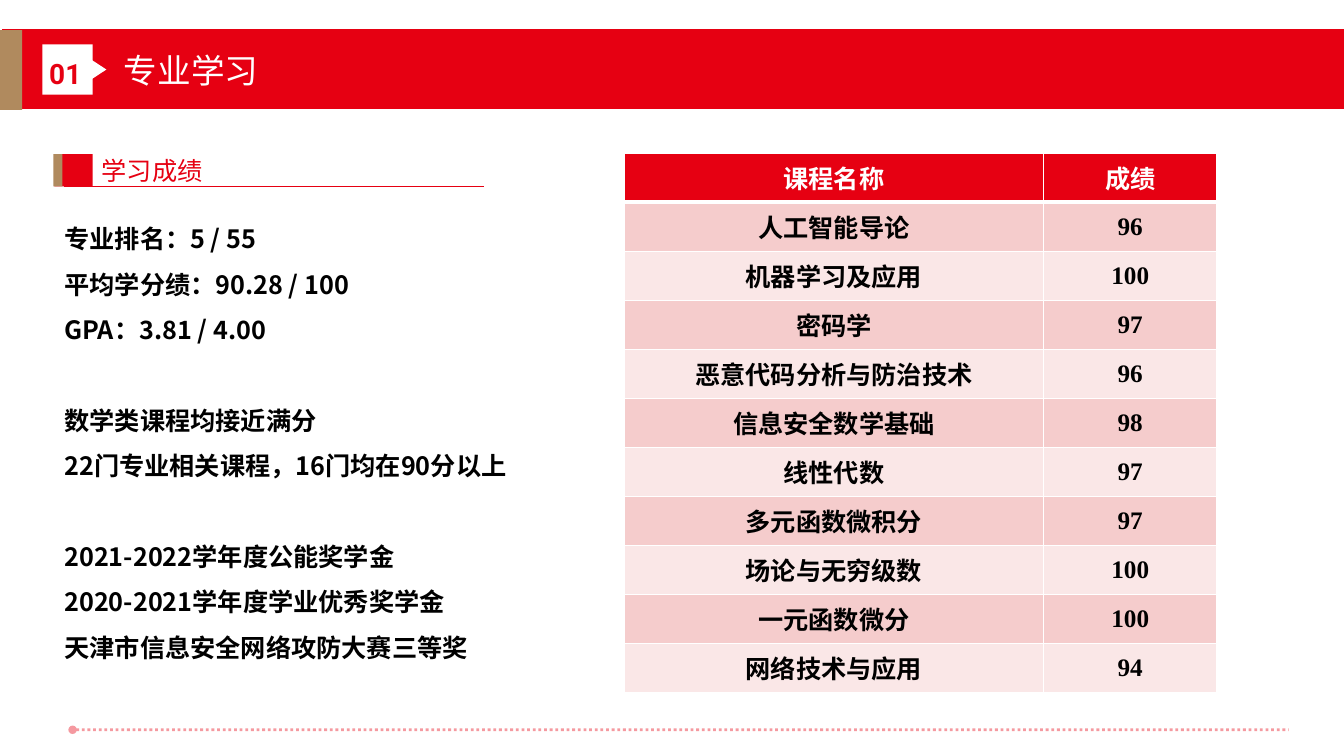
from dataclasses import dataclass

from lxml.etree import SubElement
from pptx import Presentation
from pptx.dml.color import RGBColor
from pptx.enum.dml import MSO_LINE
from pptx.enum.shapes import MSO_CONNECTOR, MSO_SHAPE as SHAPE
from pptx.enum.text import MSO_ANCHOR as ANCHOR, PP_ALIGN as ALIGN
from pptx.oxml.ns import qn
from pptx.util import Inches, Pt

COLORS = {
    "red": "E60012", "gold": "B08A5E", "white": "FFFFFF", "black": "000000",
    "pink": "F5CCCC", "pale": "FAE7E7",
}
CJK, HEADING, DIGITS = "Noto Sans CJK SC", "Roboto", "Times New Roman"
LINE_PITCH = 32.4


@dataclass
class Block:
    left: float
    top: float
    width: float
    height: float
    color: str
    preset: SHAPE = SHAPE.RECTANGLE
    rotation: float = 0


@dataclass
class Label:
    text: str
    left: float
    top: float
    width: float
    height: float
    size: float
    color: str
    bold: bool = False
    anchor: ANCHOR = ANCHOR.MIDDLE


@dataclass
class Course:
    name: str
    score: str


BLOCKS = [
    Block(0.02, 0.29, 13.31, 0.79, "red"),
    Block(-0.02, 0.3, 0.24, 0.79, "gold"),
    Block(0.42, 0.44, 0.5, 0.5, "white"),
    Block(0.87, 0.61, 0.21, 0.16, "white", SHAPE.ISOSCELES_TRIANGLE, 90),
    Block(0.54, 1.53, 0.38, 0.32, "red"),
    Block(0.53, 1.53, 0.09, 0.32, "gold"),
]
LABELS = [
    Label("01", 0.39, 0.51, 0.66, 0.44, 20, "red", bold=True),
    Label("专业学习", 1.13, 0.45, 7.06, 0.5, 24, "white"),
    Label("学习成绩", 0.91, 1.49, 3.56, 0.4, 18, "red", anchor=ANCHOR.TOP),
]
ACHIEVEMENTS = [
    ["专业排名：5 / 55", "平均学分绩：90.28 / 100", "GPA：3.81 / 4.00"],
    ["数学类课程均接近满分", "22门专业相关课程，16门均在90分以上"],
    ["2021-2022学年度公能奖学金", "2020-2021学年度学业优秀奖学金",
     "天津市信息安全网络攻防大赛三等奖"],
]
COURSES = [
    Course("人工智能导论", "96"),
    Course("机器学习及应用", "100"),
    Course("密码学", "97"),
    Course("恶意代码分析与防治技术", "96"),
    Course("信息安全数学基础", "98"),
    Course("线性代数", "97"),
    Course("多元函数微积分", "97"),
    Course("场论与无穷级数", "100"),
    Course("一元函数微分", "100"),
    Course("网络技术与应用", "94"),
]


def rgb(color: str) -> RGBColor:
    return RGBColor.from_string(COLORS[color])


def write(paragraph, text: str, *, size: float = 18, font: str = CJK,
          color: str = "black", bold: bool = True, align=None) -> None:
    paragraph.alignment = align
    run = paragraph.add_run()
    run.text = text
    run.font.size, run.font.bold, run.font.name = Pt(size), bold, font
    run.font.color.rgb = rgb(color)
    SubElement(run.font._element, qn("a:ea"), typeface=CJK)


def add_frame(slide, left: float, top: float, width: float, height: float,
              anchor: ANCHOR = ANCHOR.TOP):
    box = slide.shapes.add_textbox(*map(Inches, (left, top, width, height)))
    frame = box.text_frame
    frame.word_wrap, frame.vertical_anchor = True, anchor
    return frame


def add_block(slide, block: Block) -> None:
    shape = slide.shapes.add_shape(
        block.preset, *map(Inches, (block.left, block.top, block.width, block.height)))
    shape.rotation = block.rotation
    shape.shadow.inherit = False
    shape.fill.solid()
    shape.fill.fore_color.rgb = rgb(block.color)
    shape.line.fill.background()


def add_rule(slide, left: float, right: float, y: float, weight: float):
    rule = slide.shapes.add_connector(
        MSO_CONNECTOR.STRAIGHT, *map(Inches, (left, y, right, y)))
    rule.line.color.rgb = rgb("red")
    rule.line.width = Pt(weight)
    SubElement(rule._element.spPr, qn("a:effectLst"))
    return rule


def add_footer_rule(slide) -> None:
    rule = add_rule(slide, 0.72, 12.78, 7.24, 0)
    rule.line.dash_style = MSO_LINE.ROUND_DOT
    stroke = rule.line._get_or_add_ln()
    SubElement(stroke.find(".//" + qn("a:srgbClr")), qn("a:alpha"), val="40000")
    SubElement(stroke, qn("a:headEnd"), type="oval")


def fill_cell(cell, text: str, fill: str, top: float, bottom: float, **style) -> None:
    properties = cell._tc.get_or_add_tcPr()
    for side, weight in (("L", 1), ("R", 1), ("T", top), ("B", bottom)):
        border = SubElement(properties, qn(f"a:ln{side}"), w=str(Pt(weight)))
        solid = SubElement(border, qn("a:solidFill"))
        SubElement(solid, qn("a:srgbClr"), val=COLORS["white"])
    cell.fill.solid()
    cell.fill.fore_color.rgb = rgb(fill)
    cell.vertical_anchor = ANCHOR.MIDDLE
    write(cell.text_frame.paragraphs[0], text, align=ALIGN.CENTER, **style)


def add_scores(slide) -> None:
    rows = len(COURSES) + 1
    table = slide.shapes.add_table(
        rows, 2, *map(Inches, (6.19, 1.52, 5.88, 5.35))).table
    for column, width in zip(table.columns, (4.16, 1.72)):
        column.width = Inches(width)
    for row in table.rows:
        row.height = Inches(5.35 / rows)
    for column, heading in enumerate(("课程名称", "成绩")):
        fill_cell(table.cell(0, column), heading, "red", 1, 3, color="white")
    for row, course in enumerate(COURSES, 1):
        fill = "pink" if row % 2 else "pale"
        top = 3 if row == 1 else 1
        fill_cell(table.cell(row, 0), course.name, fill, top, 1)
        fill_cell(table.cell(row, 1), course.score, fill, top, 1, font=DIGITS)


def add_achievements(slide) -> None:
    frame = add_frame(slide, 0.54, 2.02, 5.35, 4.64)
    for group_index, group in enumerate(ACHIEVEMENTS):
        for line_index, line in enumerate(group):
            first = group_index == line_index == 0
            paragraph = frame.paragraphs[0] if first else frame.add_paragraph()
            paragraph.line_spacing = Pt(LINE_PITCH)
            if group_index and not line_index:
                paragraph.space_before = Pt(LINE_PITCH)
            write(paragraph, line)


def main() -> None:
    deck = Presentation()
    deck.slide_width, deck.slide_height = Inches(13.33), Inches(7.5)
    slide = deck.slides.add_slide(deck.slide_layouts[6])

    # Header band and section marker
    for block in BLOCKS:
        add_block(slide, block)
    for label in LABELS:
        frame = add_frame(slide, label.left, label.top, label.width,
                          label.height, label.anchor)
        write(frame.paragraphs[0], label.text, size=label.size, font=HEADING,
              color=label.color, bold=label.bold)
    add_rule(slide, 0.63, 4.8, 1.85, 1)

    # Results, course scores and footer
    add_achievements(slide)
    add_scores(slide)
    add_footer_rule(slide)
    deck.save("out.pptx")


if __name__ == "__main__":
    main()
